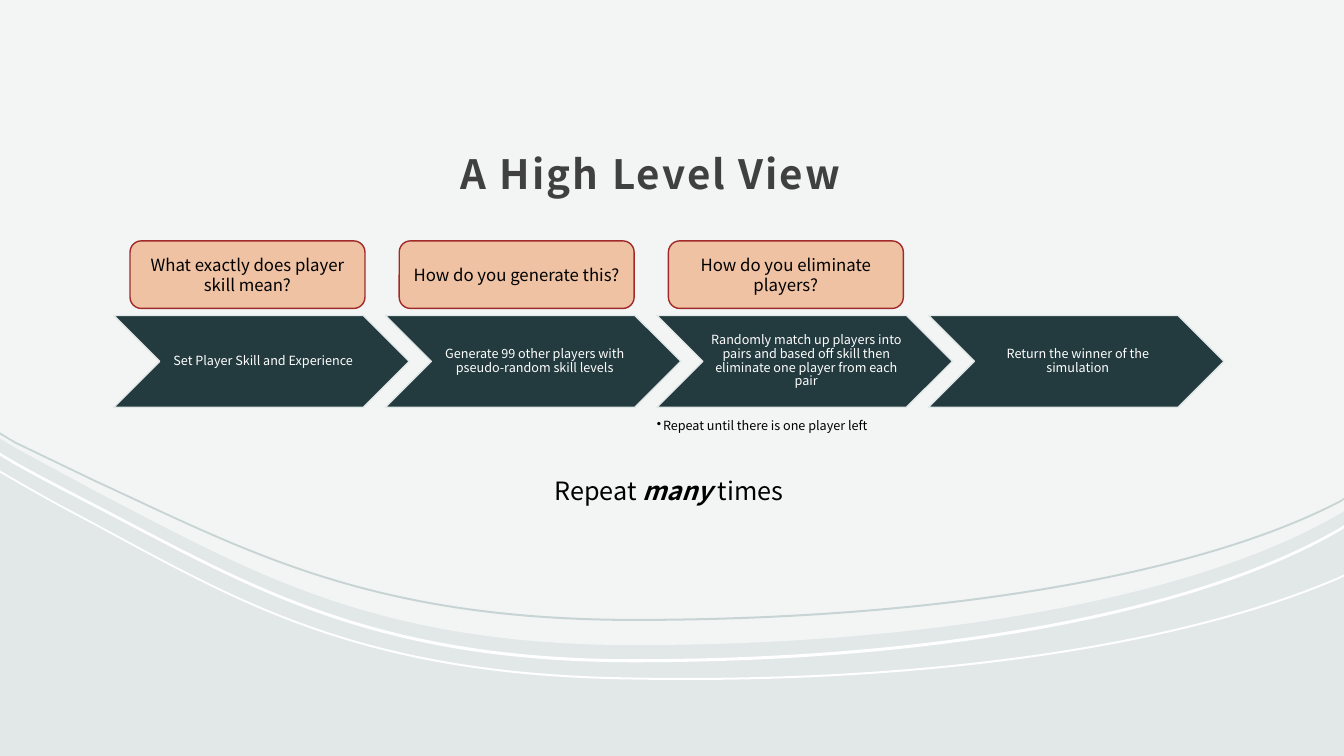
from lxml.etree import SubElement
from pptx import Presentation
from pptx.dml.color import RGBColor
from pptx.enum.shapes import MSO_SHAPE
from pptx.enum.text import MSO_ANCHOR, MSO_AUTO_SIZE, PP_ALIGN
from pptx.oxml.ns import qn
from pptx.util import Inches, Pt

FONT = "Noto Sans CJK JP"
MIST = RGBColor(0xE2, 0xE8, 0xE8)
WHITE = RGBColor(0xFF, 0xFF, 0xFF)
GREY_GREEN = RGBColor(0xC8, 0xD4, 0xD4)
TEAL = RGBColor(0x23, 0x3A, 0x3E)
PEACH = RGBColor(0xEE, 0xC2, 0xA3)
RED = RGBColor(0xA1, 0x29, 0x29)
CHARCOAL = RGBColor(0x40, 0x40, 0x40)
BLACK = RGBColor(0, 0, 0)

TITLE = "A High Level View"
STEPS = [
    "Set Player Skill and Experience",
    "Generate 99 other players with pseudo-random skill levels",
    "Randomly match up players into pairs and based off skill then "
    "eliminate one player from each pair",
    "Return the winner of the simulation",
]
QUESTIONS = [
    "What exactly does player skill mean?",
    "How do you generate this?",
    "How do you eliminate players?",
]
REPEAT_STEP = "Repeat until there is one player left"
REPEAT_ALL = [("Repeat ", False), ("many", True), (" times", False)]

PAGE_WIDTH, PAGE_HEIGHT = 13.33, 7.5
STEP_LEFT, STEP_TOP, STEP_WIDTH, STEP_HEIGHT = 1.13, 3.13, 2.93, 0.91
STEP_PITCH = (9.21 - STEP_LEFT) / 3
QUESTION_LEFT, QUESTION_PITCH = 1.29, 2.67

CURVE_STARTS = (2, 5, 8)
HILL = [(13.33, 5.07), (13.3, 5.09), (11.87, 5.93), (9.26, 6.4), (6.29, 6.4),
        (3.67, 6.4), (2.44, 5.64), (0.94, 4.87), (0.67, 4.72), (0.4, 4.58),
        (0.15, 4.44), (0, 4.35)]
LOW_WAVE = [(13.33, 5.72), (13.29, 5.74), (11.67, 6.44), (9.07, 6.8), (6.18, 6.74),
            (3.46, 6.69), (2.27, 5.92), (0.79, 5.13), (0.52, 4.99), (0.26, 4.84),
            (0.02, 4.7), (0, 4.69)]
MIDDLE_WAVE = [(13.33, 5.24), (13.3, 5.26), (11.87, 6.1), (9.26, 6.57), (6.29, 6.57),
               (3.67, 6.57), (2.44, 5.81), (0.94, 5.03), (0.67, 4.89), (0.4, 4.75),
               (0.15, 4.61), (0, 4.52)]
HIGH_WAVE = [(13.33, 4.96), (13.3, 4.98), (11.87, 5.73), (9.26, 6.16), (6.29, 6.16),
             (3.67, 6.16), (2.44, 5.47), (0.94, 4.78), (0.67, 4.65), (0.4, 4.52),
             (0.15, 4.4), (0, 4.31)]
WAVES = [(LOW_WAVE, 0.02, WHITE), (MIDDLE_WAVE, 0.03, WHITE),
         (HIGH_WAVE, 0.02, GREY_GREEN)]


def add_area(page, points, edge_starts, color):
    corners = [(Inches(x), Inches(y)) for x, y in points]
    builder = page.shapes.build_freeform(*corners[0])
    builder.add_line_segments(corners[1:], close=True)
    area = builder.convert_to_shape()
    area.shadow.inherit = False
    area.fill.solid()
    area.fill.fore_color.rgb = color
    area.line.fill.background()
    outline = next(area._element.iter(qn("a:path")))
    segments = list(outline)
    for first in [edge + start for edge in edge_starts for start in CURVE_STARTS]:
        curve = outline.makeelement(qn("a:cubicBezTo"))
        segments[first].addprevious(curve)
        for segment in segments[first:first + 3]:
            curve.append(segment[0])
            outline.remove(segment)
    return area


def add_box(page, place, preset=None, fill=None, line=None):
    place = [Inches(length) for length in place]
    if preset is None:
        box = page.shapes.add_textbox(*place)
    else:
        box = page.shapes.add_shape(preset, *place)
        box.shadow.inherit = False
        box.fill.solid()
        box.fill.fore_color.rgb = fill
        box.line.color.rgb = line
        box.line.width = Pt(1)
    box.text_frame.word_wrap = True
    return box


def set_insets(frame, left, top, right, bottom):
    frame.margin_left, frame.margin_top = Inches(left), Inches(top)
    frame.margin_right, frame.margin_bottom = Inches(right), Inches(bottom)


def style(para, size, color, align=PP_ALIGN.CENTER, spacing=None):
    para.alignment = align
    para.line_spacing = spacing
    para.font.name = FONT
    para.font.size = Pt(size)
    para.font.color.rgb = color


def add_background(page):
    page.background.fill.solid()
    page.background.fill.fore_color.rgb = MIST
    hill = add_area(page, [(0, 0), (PAGE_WIDTH, 0)] + HILL, [2], WHITE)
    tint = hill.fill._xPr.find(qn("a:solidFill"))[0]
    SubElement(tint, qn("a:alpha")).set("val", "60000")
    for lower, thickness, color in WAVES:
        upper = [(x, y - thickness) for x, y in reversed(lower)]
        add_area(page, lower + upper, [0, len(lower)], color)


def add_title(page):
    frame = add_box(page, (4.45, 0.59, 4.44, 1.47)).text_frame
    frame.vertical_anchor = MSO_ANCHOR.BOTTOM
    set_insets(frame, 0.12, 0.12, 0.12, 0.1)
    para = frame.paragraphs[0]
    span = para.add_run()
    span.text = TITLE
    span._r.get_or_add_rPr().set("spc", "150")
    style(para, 28.8, CHARCOAL, PP_ALIGN.LEFT, 1.3)
    para.font.bold = True


def add_steps(page):
    for i, text in enumerate(STEPS):
        place = (STEP_LEFT + i * STEP_PITCH, STEP_TOP, STEP_WIDTH, STEP_HEIGHT)
        frame = add_box(page, place, MSO_SHAPE.CHEVRON, TEAL, MIST).text_frame
        frame.vertical_anchor = MSO_ANCHOR.MIDDLE
        set_insets(frame, 0.04, 0.01, 0.01, 0.01)
        frame.text = text
        style(frame.paragraphs[0], 9, WHITE, spacing=0.9)


def add_repeat_step(page):
    frame = add_box(page, (STEP_LEFT + 2 * STEP_PITCH, 4.16, 2.34, 0.23)).text_frame
    set_insets(frame, 0, 0, 0, 0)
    frame.text = REPEAT_STEP
    para = frame.paragraphs[0]
    para.level = 1
    settings = para._p.get_or_add_pPr()
    settings.set("marL", str(Inches(0.06)))
    settings.set("indent", str(-Inches(0.06)))
    SubElement(settings, qn("a:buChar")).set("char", "•")
    style(para, 9, BLACK, PP_ALIGN.LEFT, 0.9)


def add_repeat_all(page):
    frame = add_box(page, (2.28, 4.67, 8.71, 0.4)).text_frame
    frame.auto_size = MSO_AUTO_SIZE.SHAPE_TO_FIT_TEXT
    para = frame.paragraphs[0]
    for text, stressed in REPEAT_ALL:
        span = para.add_run()
        span.text = text
        span.font.bold = span.font.italic = stressed
    style(para, 18, BLACK)


def add_questions(page):
    for i, text in enumerate(QUESTIONS):
        place = (QUESTION_LEFT + i * QUESTION_PITCH, 2.39, 2.33, 0.67)
        frame = add_box(page, place, MSO_SHAPE.ROUNDED_RECTANGLE, PEACH, RED).text_frame
        frame.vertical_anchor = MSO_ANCHOR.MIDDLE
        frame.text = text
        style(frame.paragraphs[0], 12, BLACK)


def main():
    deck = Presentation()
    deck.slide_width, deck.slide_height = Inches(PAGE_WIDTH), Inches(PAGE_HEIGHT)
    page = deck.slides.add_slide(deck.slide_layouts[6])
    add_background(page)
    add_title(page)
    add_steps(page)
    add_repeat_step(page)
    add_repeat_all(page)
    add_questions(page)
    deck.save("out.pptx")


if __name__ == "__main__":
    main()
